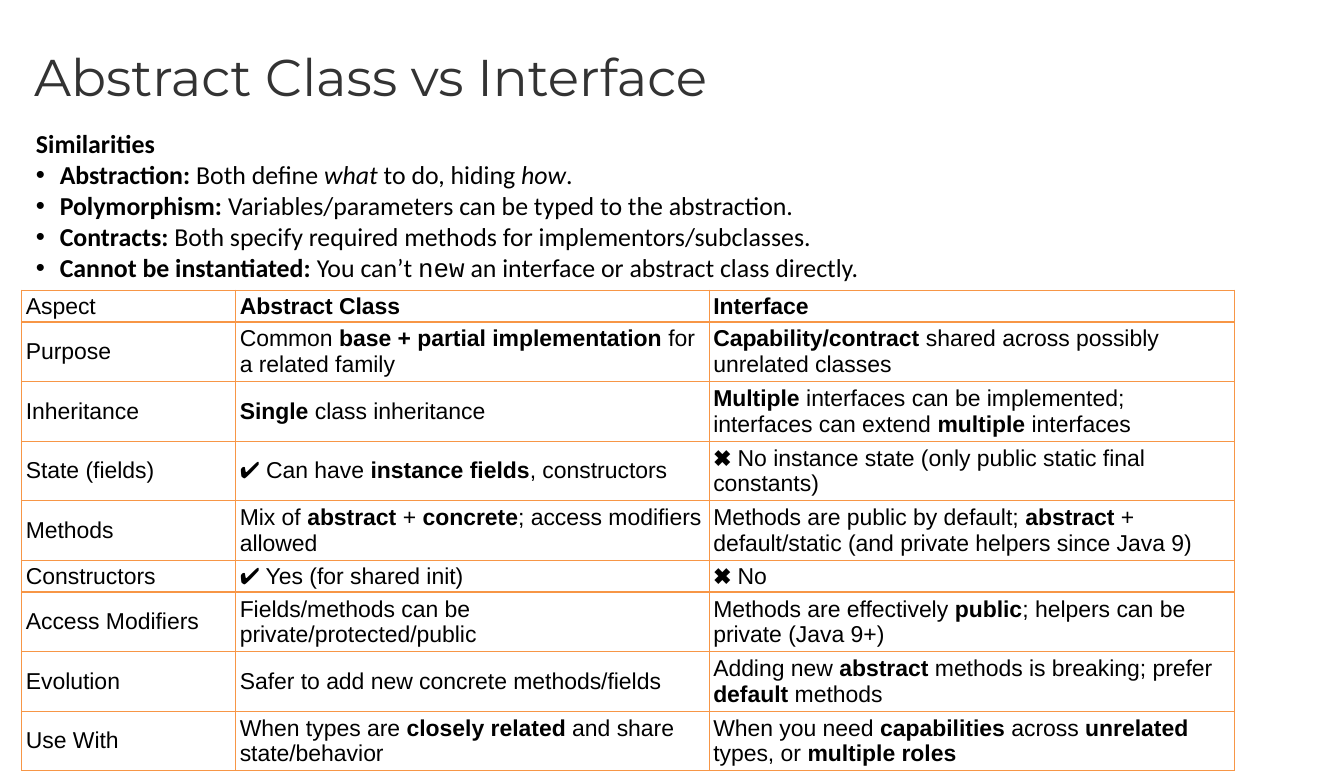
import pptx
import pptx.util
import pptx.dml.color
import pptx.enum.text
from lxml import etree
from pptx.oxml.ns import qn

Inches = pptx.util.Inches
Pt = pptx.util.Pt
RGBColor = pptx.dml.color.RGBColor
MIDDLE = pptx.enum.text.MSO_ANCHOR.MIDDLE
LEFT = pptx.enum.text.PP_ALIGN.LEFT

BLACK = RGBColor(0x00, 0x00, 0x00)
TITLE_GREY = RGBColor(0x33, 0x33, 0x33)
BORDER_ORANGE = RGBColor(0xF7, 0x96, 0x46)

# Inline marks: *bold*, _italic_, `code`
SIMILARITIES = [
    "*Abstraction:* Both define _what_ to do, hiding _how_.",
    "*Polymorphism:* Variables/parameters can be typed to the abstraction.",
    "*Contracts:* Both specify required methods for implementors/subclasses.",
    "*Cannot be instantiated:* You can’t `new` an interface or abstract class directly.",
]

ROWS = [
    ("Aspect", "*Abstract Class*", "*Interface*"),
    ("Purpose",
     "Common *base + partial implementation* for a related family",
     "*Capability/contract* shared across possibly unrelated classes"),
    ("Inheritance",
     "*Single* class inheritance",
     "*Multiple* interfaces can be implemented; interfaces can extend *multiple* interfaces"),
    ("State (fields)",
     "✔ Can have *instance fields*, constructors",
     "✖ No instance state (only public static final constants)"),
    ("Methods",
     "Mix of *abstract* + *concrete*; access modifiers allowed",
     "Methods are public by default; *abstract* + default/static "
     "(and private helpers since Java 9)"),
    ("Constructors", "✔ Yes (for shared init)", "✖ No"),
    ("Access Modifiers",
     "Fields/methods can be private/protected/public",
     "Methods are effectively *public*; helpers can be private (Java 9+)"),
    ("Evolution",
     "Safer to add new concrete methods/fields",
     "Adding new *abstract* methods is breaking; prefer *default* methods"),
    ("Use With",
     "When types are *closely related* and share state/behavior",
     "When you need *capabilities* across *unrelated* types, or *multiple roles*"),
]
COLUMN_WIDTHS = (2.07, 4.58, 5.08)
TABLE_HEIGHT = 4.64
SINGLE_LINE = 0.3
SINGLE_LINE_ROWS = ("Aspect", "Constructors")


def add_run(p, text, font, size, color, bold=False, italic=False):
    r = p.add_run()
    r.text = text
    r.font.name = font
    r.font.size = Pt(size)
    r.font.color.rgb = color
    r.font.bold = bold
    r.font.italic = italic


def add_marked_text(p, text, font, size):
    """Add one run for each stretch between inline marks."""
    active = {"*": False, "_": False, "`": False}
    chunk = ""
    for char in text + "\n":
        if char not in active and char != "\n":
            chunk += char
            continue
        if chunk:
            face = "Courier New" if active["`"] else font
            add_run(p, chunk, face, size, BLACK, active["*"], active["_"])
        chunk = ""
        if char in active:
            active[char] = not active[char]


def set_bullet(p, indent):
    pPr = p._p.get_or_add_pPr()
    pPr.set("marL", str(Inches(indent)))
    pPr.set("indent", str(-Inches(indent)))
    etree.SubElement(pPr, qn("a:buFont"), typeface="Arial")
    etree.SubElement(pPr, qn("a:buChar"), char="•")


def set_borders(cell, color, width):
    tcPr = cell._tc.get_or_add_tcPr()
    for i, side in enumerate(("lnL", "lnR", "lnT", "lnB")):
        ln = etree.Element(qn("a:" + side), w=str(Pt(width)))
        fill = etree.SubElement(ln, qn("a:solidFill"))
        etree.SubElement(fill, qn("a:srgbClr"), val=str(color))
        tcPr.insert(i, ln)


def add_title(slide, text):
    sp = slide.shapes.title
    sp.left, sp.top, sp.width, sp.height = map(Inches, (0.33, 0.42, 11.18, 0.63))
    tf = sp.text_frame
    tf.margin_left = tf.margin_right = tf.margin_top = tf.margin_bottom = 0
    tf.vertical_anchor = MIDDLE
    p = tf.paragraphs[0]
    p.alignment = LEFT
    add_run(p, text, "Montserrat", 36, TITLE_GREY)


def add_bullet_list(slide, heading, items):
    sp = slide.shapes.add_textbox(*map(Inches, (0.25, 1.19, 11.34, 1.62)))
    tf = sp.text_frame
    tf.word_wrap = True
    add_marked_text(tf.paragraphs[0], heading, "Calibri", 18)
    for item in items:
        p = tf.add_paragraph()
        set_bullet(p, 0.23)
        add_marked_text(p, item, "Calibri", 18)


def add_comparison_table(slide, rows):
    frame = slide.shapes.add_table(
        len(rows), len(COLUMN_WIDTHS), Inches(0.21), Inches(2.81),
        Inches(sum(COLUMN_WIDTHS)), Inches(TABLE_HEIGHT))
    table = frame.table
    table.first_row = table.horz_banding = False
    for column, width in zip(table.columns, COLUMN_WIDTHS):
        column.width = Inches(width)

    # Two-line rows share what the single-line rows leave
    singles = len(SINGLE_LINE_ROWS)
    double_line = (TABLE_HEIGHT - singles * SINGLE_LINE) / (len(rows) - singles)
    for row, texts in zip(table.rows, rows):
        single = texts[0] in SINGLE_LINE_ROWS
        row.height = Inches(SINGLE_LINE if single else double_line)
        for cell, text in zip(row.cells, texts):
            cell.margin_left = cell.margin_right = Inches(0.04)
            cell.margin_top = cell.margin_bottom = Inches(0.02)
            cell.vertical_anchor = MIDDLE
            cell.fill.background()
            set_borders(cell, BORDER_ORANGE, 1)
            add_marked_text(cell.text_frame.paragraphs[0], text, "Arial", 16)


def main():
    prs = pptx.Presentation()
    prs.slide_width, prs.slide_height = Inches(13), Inches(7.5)
    slide = prs.slides.add_slide(prs.slide_layouts[5])
    add_title(slide, "Abstract Class vs Interface")
    add_bullet_list(slide, "*Similarities*", SIMILARITIES)
    add_comparison_table(slide, ROWS)
    prs.save("out.pptx")


if __name__ == "__main__":
    main()
